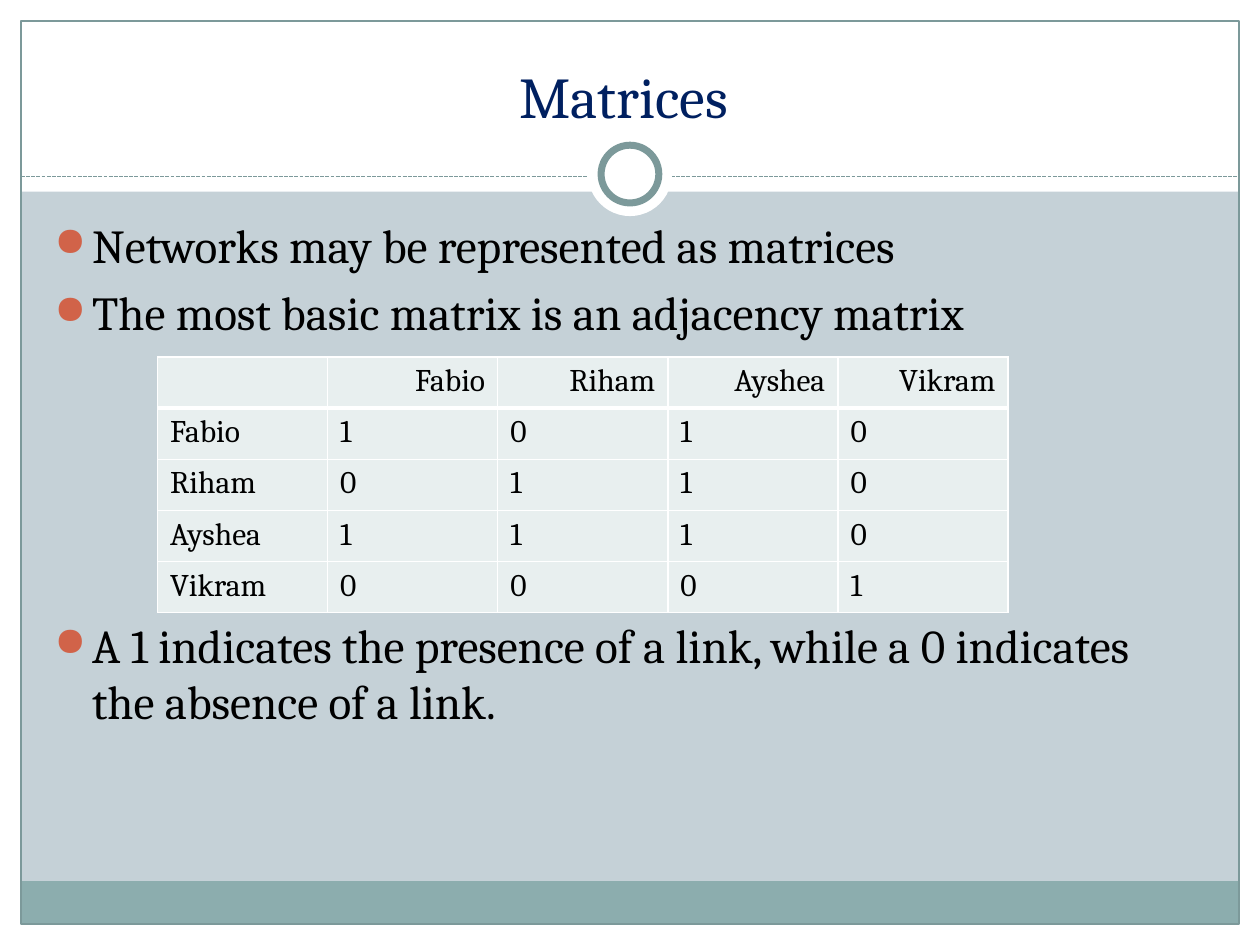
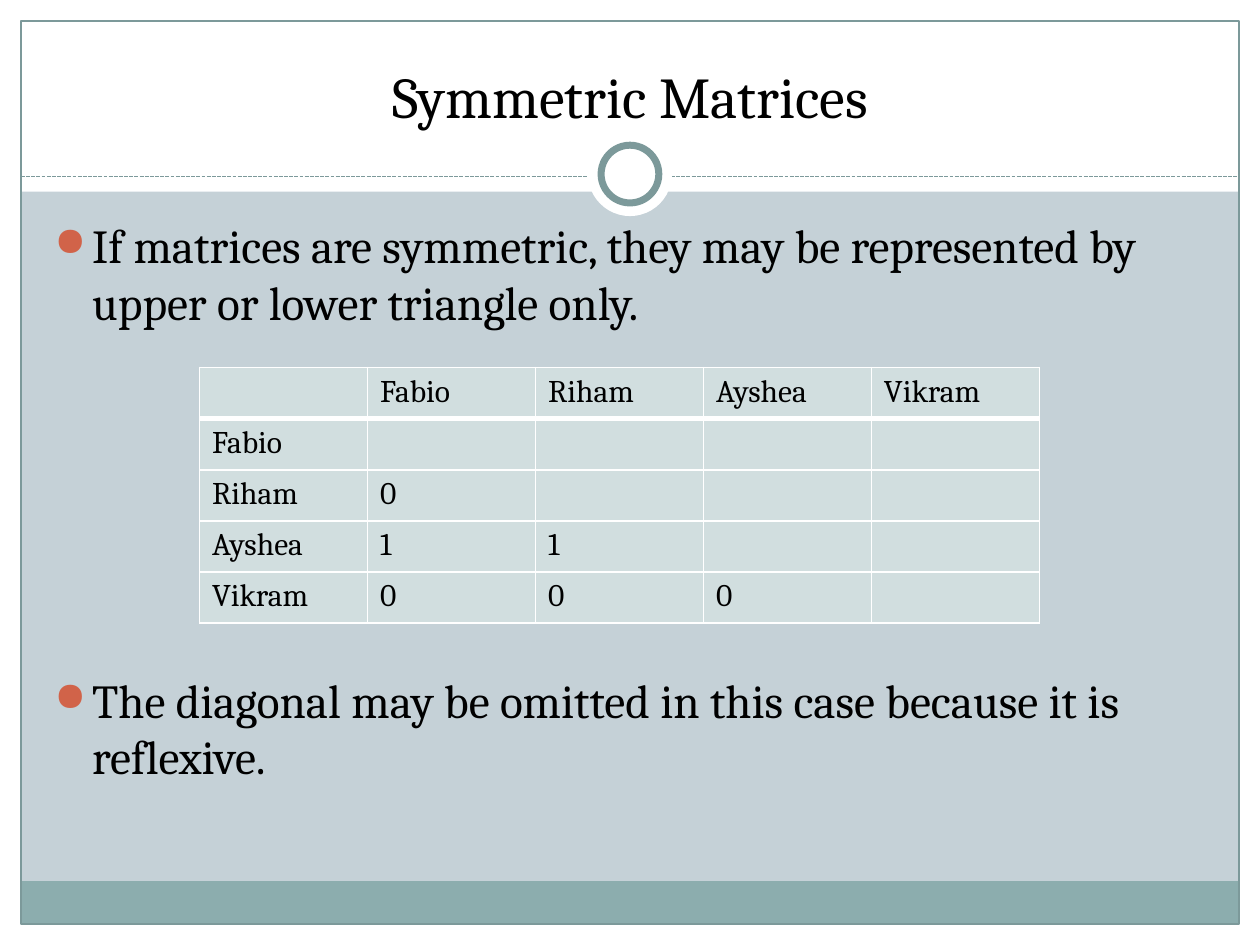
from lxml import etree
from pptx import Presentation
from pptx.dml.color import RGBColor
from pptx.enum.dml import MSO_LINE
from pptx.enum.shapes import MSO_CONNECTOR, MSO_SHAPE
from pptx.enum.text import MSO_ANCHOR, PP_ALIGN
from pptx.oxml.ns import qn
from pptx.util import Pt

RECT, OVAL = MSO_SHAPE.RECTANGLE, MSO_SHAPE.OVAL
STRAIGHT, SYS_DASH = MSO_CONNECTOR.STRAIGHT, MSO_LINE.SQUARE_DOT
LEFT, CENTER, RIGHT = PP_ALIGN.LEFT, PP_ALIGN.CENTER, PP_ALIGN.RIGHT
TOP, BOTTOM = MSO_ANCHOR.TOP, MSO_ANCHOR.BOTTOM

W, H = 720, 540
MARGIN = 12
COLORS = {
    "background": "C5D1D7", "white": "FFFFFF", "black": "000000",
    "navy": "002060", "band": "8CADAE", "frame": "7C999A",
    "bullet": "D16349", "pale": "E8EFEF", "mist": "D1DEDF",
}
FONT = "Cambria"
TITLE_SIZE, BODY_SIZE, CELL_SIZE = 33, 27, 18
BODY_GAP, INDENT = 6, 21.6
ROW_HEIGHT = 29.25

PEOPLE = ["Fabio", "Riham", "Ayshea", "Vikram"]
LINKS = ["1010", "0110", "1110", "0001"]


def rgb(name):
    return RGBColor.from_string(COLORS[name])


class Deck:
    def __init__(self):
        self.prs = Presentation()
        self.prs.slide_width, self.prs.slide_height = Pt(W), Pt(H)
        self.s = None

    def slide(self, title, color):
        self.s = self.prs.slides.add_slide(self.prs.slide_layouts[6])
        fill = self.s.background.fill
        fill.solid()
        fill.fore_color.rgb = rgb("background")
        self.frame()
        tf = self.textbox(24, 18, 672, 60, BOTTOM)
        self.set_text(tf.paragraphs[0], title, TITLE_SIZE, color, CENTER)

    def frame(self):
        # White margins and title area
        self.shape(RECT, 0, H - MARGIN, W, MARGIN, "white")
        self.shape(RECT, 0, 0, W, 109.5, "white")
        for x in (0, W - MARGIN):
            self.shape(RECT, x, 0, MARGIN, H, "white")
        # Footer band and outline
        inner = W - 2 * MARGIN
        self.shape(RECT, MARGIN, 503.5, inner, 24.5, "band")
        self.shape(RECT, MARGIN, MARGIN, inner, H - 2 * MARGIN, line="frame")
        # Dashed rule with the ring on it
        self.rule(MARGIN, W - MARGIN, 100.8)
        for d, line in ((48, None), (33, "frame")):
            self.shape(OVAL, (W - d) / 2, 99.5 - d / 2, d, d, "white", line,
                       4)

    def shape(self, kind, x, y, w, h, fill=None, line=None, width=0.75):
        sp = self.s.shapes.add_shape(kind, Pt(x), Pt(y), Pt(w), Pt(h))
        sp.shadow.inherit = False
        if fill:
            sp.fill.solid()
            sp.fill.fore_color.rgb = rgb(fill)
        else:
            sp.fill.background()
        if line:
            sp.line.color.rgb = rgb(line)
            sp.line.width = Pt(width)
        else:
            sp.line.fill.background()

    def rule(self, x1, x2, y):
        cn = self.s.shapes.add_connector(STRAIGHT, Pt(x1), Pt(y), Pt(x2), Pt(y))
        cn.line.color.rgb = rgb("frame")
        cn.line.width = Pt(0.75)
        cn.line.dash_style = SYS_DASH
        etree.SubElement(cn._element.spPr, qn("a:effectLst"))

    def textbox(self, x, y, w, h, anchor=TOP):
        tf = self.s.shapes.add_textbox(Pt(x), Pt(y), Pt(w), Pt(h)).text_frame
        tf.word_wrap = True
        tf.vertical_anchor = anchor
        return tf

    def set_text(self, p, text, size, color="black", align=LEFT):
        p.text = text
        p.alignment = align
        for r in p.runs:
            r.font.name = FONT
            r.font.size = Pt(size)
            r.font.color.rgb = rgb(color)

    def bullets(self, items):
        """Items are (text, space before) pairs."""
        tf = self.textbox(24, 120, 669.6, 360)
        for i, (text, gap) in enumerate(items):
            p = tf.add_paragraph() if i else tf.paragraphs[0]
            self.set_text(p, text, BODY_SIZE)
            p.space_before = Pt(gap)
            pPr = p._p.get_or_add_pPr()
            pPr.set("marL", str(Pt(INDENT)))
            pPr.set("indent", str(-Pt(INDENT)))
            clr = etree.SubElement(pPr, qn("a:buClr"))
            etree.SubElement(clr, qn("a:srgbClr"), val=COLORS["bullet"])
            etree.SubElement(pPr, qn("a:buSzPct"), val="85000")
            etree.SubElement(pPr, qn("a:buChar"), char="●")

    def borders(self, cell, top, bottom):
        tcPr = cell._tc.get_or_add_tcPr()
        sides = (("lnL", 1), ("lnR", 1), ("lnT", top), ("lnB", bottom))
        for i, (side, width) in enumerate(sides):
            ln = etree.Element(qn("a:" + side), w=str(Pt(width)))
            fill = etree.SubElement(ln, qn("a:solidFill"))
            etree.SubElement(fill, qn("a:srgbClr"), val=COLORS["white"])
            tcPr.insert(i, ln)

    def matrix(self, x, y, col_width, values, fill, head_align=LEFT):
        n = len(PEOPLE) + 1
        table = self.s.shapes.add_table(n, n, Pt(x), Pt(y), Pt(n * col_width),
                                        Pt(n * ROW_HEIGHT)).table
        for col in table.columns:
            col.width = Pt(col_width)
        rows = [["", *PEOPLE]]
        rows += [[name, *links] for name, links in zip(PEOPLE, values)]
        for i, row in enumerate(rows):
            table.rows[i].height = Pt(ROW_HEIGHT)
            for j in range(n):
                cell = table.cell(i, j)
                cell.fill.solid()
                cell.fill.fore_color.rgb = rgb(fill)
                self.borders(cell, 3 if i == 1 else 1, 3 if i == 0 else 1)
                if j < len(row) and row[j]:
                    self.set_text(cell.text_frame.paragraphs[0], row[j],
                                  CELL_SIZE, align=LEFT if i else head_align)


def main():
    deck = Deck()

    # Full adjacency matrix
    deck.slide("Matrices ", "navy")
    deck.bullets([
        ("Networks may be represented as matrices", BODY_GAP),
        ("The most basic matrix is an adjacency matrix", BODY_GAP),
        ("A 1 indicates the presence of a link, while a 0 indicates "
         "the absence of a link.", 157.5),
    ])
    deck.matrix(90, 204, 97.2, LINKS, "pale", RIGHT)

    # Lower triangle only
    deck.slide("Symmetric Matrices", "black")
    deck.bullets([
        ("If matrices are symmetric, they may be represented by upper or "
         "lower triangle only.", BODY_GAP),
        ("The diagonal may be omitted in this case because it is reflexive.",
         195),
    ])
    lower = [links[:i] for i, links in enumerate(LINKS)]
    deck.matrix(114, 210, 96, lower, "mist")

    deck.prs.save("out.pptx")


if __name__ == "__main__":
    main()
